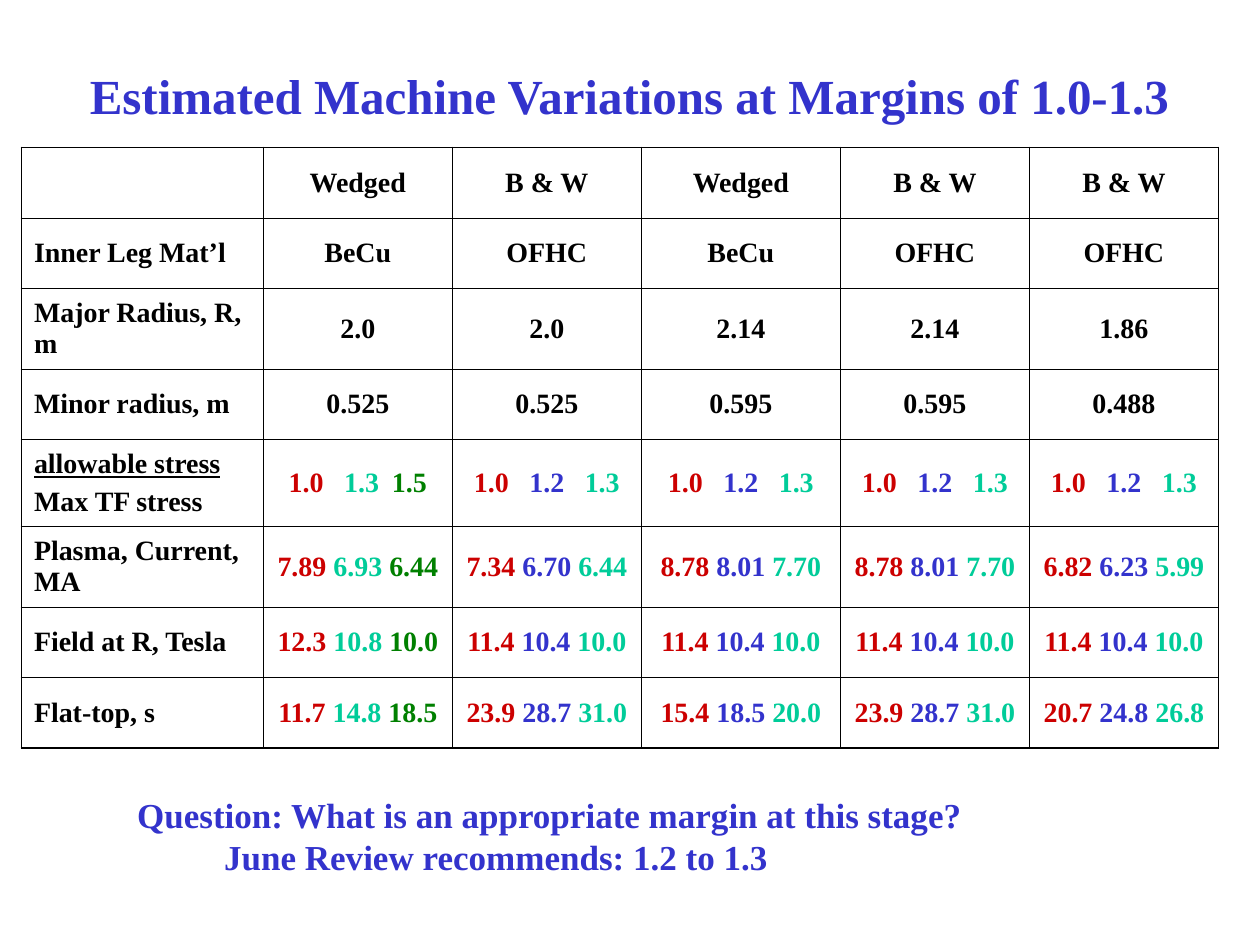
from dataclasses import dataclass
from typing import Optional

import pptx
import pptx.dml.color
import pptx.enum.text
import pptx.oxml
import pptx.util
from pptx.util import Inches

COLORS = {
    "black": "000000",
    "blue": "3333CC",
    "red": "CC0000",
    "teal": "00CC99",
    "green": "008000",
}
FONT = "Times New Roman"
THIN, THICK = 0.45, 1.08
ALIGN = pptx.enum.text.PP_ALIGN
ANCHOR = pptx.enum.text.MSO_ANCHOR
DRAWING_NS = "http://schemas.openxmlformats.org/drawingml/2006/main"

COLUMN_WIDTHS = [1.92, 1.5, 1.5, 1.58, 1.5, 1.5]
CELL_INSET = 0.1


@dataclass
class Design:
    """One machine design; triples hold one value per stress margin."""
    concept: str
    material: str
    major_radius: str
    minor_radius: str
    margins: tuple
    current: tuple
    field: tuple
    flat_top: tuple
    colors: tuple = ("red", "blue", "teal")
    margin_centers: tuple = (-0.44, 0, 0.44)  # inches from the cell's middle


@dataclass
class Row:
    label: tuple
    attribute: str
    height: float = 0.56


FIELD = ("11.4", "10.4", "10.0")
MARGINS = ("1.0", "1.2", "1.3")
DESIGNS = [
    Design("Wedged", "BeCu", "2.0", "0.525", ("1.0", "1.3", "1.5"),
           ("7.89", "6.93", "6.44"), ("12.3", "10.8", "10.0"),
           ("11.7", "14.8", "18.5"), ("red", "teal", "green"), (-0.41, 0.03, 0.41)),
    Design("B & W", "OFHC", "2.0", "0.525", MARGINS,
           ("7.34", "6.70", "6.44"), FIELD, ("23.9", "28.7", "31.0")),
    Design("Wedged", "BeCu", "2.14", "0.595", MARGINS,
           ("8.78", "8.01", "7.70"), FIELD, ("15.4", "18.5", "20.0")),
    Design("B & W", "OFHC", "2.14", "0.595", MARGINS,
           ("8.78", "8.01", "7.70"), FIELD, ("23.9", "28.7", "31.0")),
    Design("B & W", "OFHC", "1.86", "0.488", MARGINS,
           ("6.82", "6.23", "5.99"), FIELD, ("20.7", "24.8", "26.8")),
]
ROWS = [
    Row((), "concept"),
    Row(("Inner Leg Mat’l",), "material"),
    Row(("Major Radius, R, m",), "major_radius", 0.64),
    Row(("Minor radius, m",), "minor_radius"),
    Row(("allowable stress", "Max TF stress"), "margins", 0.69),
    Row(("Plasma, Current, MA",), "current", 0.64),
    Row(("Field at R, Tesla",), "field"),
    Row(("Flat-top, s",), "flat_top"),
]


def add_text(paragraph, text: str, *, size: float = 16, color: str = "black",
             align: Optional[ALIGN] = None, underline: bool = False) -> None:
    """Append one bold run to a paragraph."""
    if align is not None:
        paragraph.alignment = align
    run = paragraph.add_run()
    run.text = text
    font = run.font
    font.name, font.size, font.bold = FONT, pptx.util.Pt(size), True
    font.underline = underline
    font.color.rgb = pptx.dml.color.RGBColor.from_string(COLORS[color])


def add_center_tabs(paragraph, positions: list) -> None:
    stops = "".join(f'<a:tab pos="{Inches(position)}" algn="ctr"/>' for position in positions)
    paragraph._p.get_or_add_pPr().append(
        pptx.oxml.parse_xml(f'<a:tabLst xmlns:a="{DRAWING_NS}">{stops}</a:tabLst>'))


def set_borders(cell, left: float, right: float, top: float, bottom: float) -> None:
    for side, width in zip("LRTB", (left, right, top, bottom)):
        cell._tc.get_or_add_tcPr().append(pptx.oxml.parse_xml(
            f'<a:ln{side} xmlns:a="{DRAWING_NS}" w="{pptx.util.Pt(width)}">'
            f'<a:solidFill><a:srgbClr val="{COLORS["black"]}"/></a:solidFill></a:ln{side}>'))


def fill_label(cell, row: Row) -> None:
    for index, line in enumerate(row.label):
        paragraph = cell.text_frame.add_paragraph() if index else cell.text_frame.paragraphs[0]
        if index:
            paragraph.space_before = pptx.util.Pt(4)
        # The upper line of a two-line label reads as a numerator
        add_text(paragraph, line, underline=index < len(row.label) - 1)


def fill_value(cell, design: Design, attribute: str, width: float) -> None:
    paragraph = cell.text_frame.paragraphs[0]
    value = getattr(design, attribute)
    if isinstance(value, str):
        add_text(paragraph, value, align=ALIGN.CENTER)
    elif attribute == "margins":
        middle = width / 2 - CELL_INSET
        add_center_tabs(paragraph, [middle + center for center in design.margin_centers])
        for number, color in zip(value, design.colors):
            add_text(paragraph, "\t" + number, color=color, align=ALIGN.LEFT)
    else:
        for index, (number, color) in enumerate(zip(value, design.colors)):
            ending = " " if index < len(value) - 1 else ""
            add_text(paragraph, number + ending, color=color, align=ALIGN.CENTER)


def add_variations_table(slide) -> None:
    shape = slide.shapes.add_table(
        len(ROWS), len(COLUMN_WIDTHS), Inches(0.17), Inches(1.17),
        Inches(sum(COLUMN_WIDTHS)), Inches(sum(row.height for row in ROWS)))
    table = shape.table
    table.first_row = table.horz_banding = False
    for column, width in zip(table.columns, COLUMN_WIDTHS):
        column.width = Inches(width)
    last_row, last_column = len(ROWS) - 1, len(COLUMN_WIDTHS) - 1
    for row_index, row in enumerate(ROWS):
        table.rows[row_index].height = Inches(row.height)
        for column_index, width in enumerate(COLUMN_WIDTHS):
            cell = table.cell(row_index, column_index)
            cell.vertical_anchor = ANCHOR.MIDDLE
            cell.margin_left = cell.margin_right = Inches(CELL_INSET)
            set_borders(cell,
                        left=THICK if column_index == 0 else THIN,
                        right=THICK if column_index == last_column else THIN,
                        top=THICK if row_index == 0 else THIN,
                        bottom=THICK if row_index == last_row else THIN)
            cell.fill.background()
            if column_index == 0:
                fill_label(cell, row)
            else:
                fill_value(cell, DESIGNS[column_index - 1], row.attribute, width)


def add_question(slide) -> None:
    shape = slide.shapes.add_textbox(Inches(0.99), Inches(6.25), Inches(6.82), Inches(0.77))
    frame = shape.text_frame
    frame.word_wrap = False
    frame.auto_size = pptx.enum.text.MSO_AUTO_SIZE.SHAPE_TO_FIT_TEXT
    add_text(frame.paragraphs[0], "Question: What is an appropriate margin at this stage?",
             size=20, color="blue", align=ALIGN.LEFT)
    answer = frame.add_paragraph()
    answer._p.get_or_add_pPr().set("marL", str(Inches(0.69)))
    add_text(answer, "June Review recommends: 1.2 to 1.3",
             size=20, color="blue", align=ALIGN.LEFT)


def main() -> None:
    presentation = pptx.Presentation()
    presentation.slide_width, presentation.slide_height = Inches(10), Inches(7.5)
    slide = presentation.slides.add_slide(presentation.slide_layouts[5])

    # Title
    title = slide.shapes.title
    title.left, title.top = Inches(0.33), Inches(0.42)
    title.width, title.height = Inches(9.33), Inches(0.67)
    title.text_frame.vertical_anchor = ANCHOR.MIDDLE
    add_text(title.text_frame.paragraphs[0],
             "Estimated Machine Variations at Margins of 1.0-1.3",
             size=28, color="blue", align=ALIGN.CENTER)

    # Table and closing question
    add_variations_table(slide)
    add_question(slide)
    presentation.save("out.pptx")


if __name__ == "__main__":
    main()
